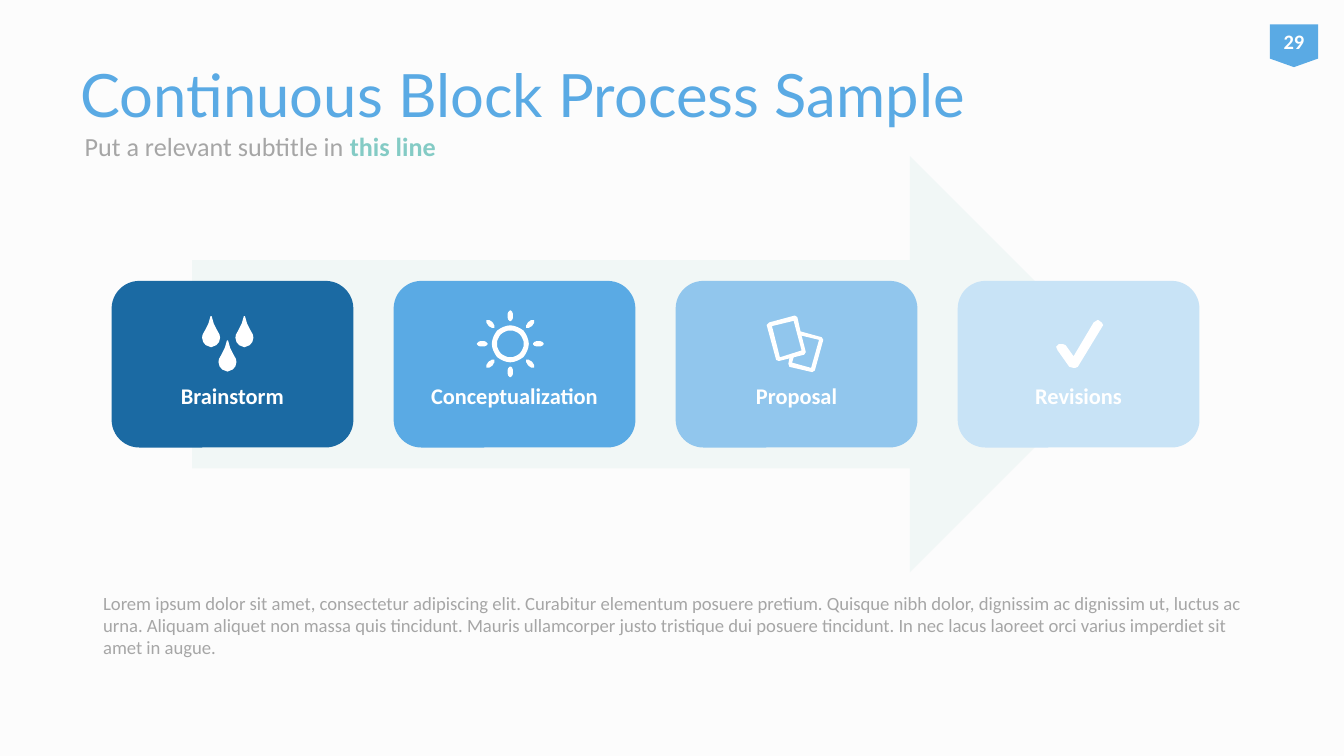
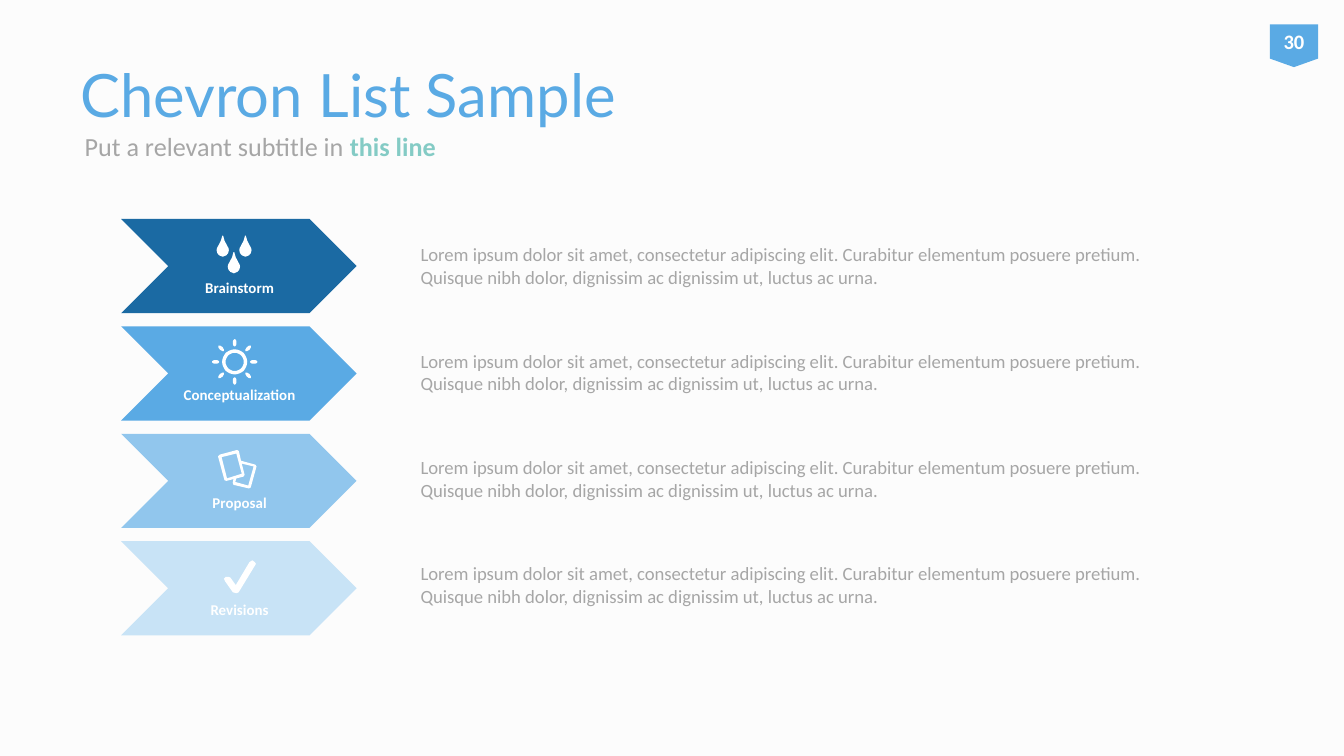
from dataclasses import dataclass
from math import cos, pi, sin

from lxml import etree
from pptx import Presentation
from pptx.dml.color import RGBColor
from pptx.enum.shapes import MSO_SHAPE
from pptx.enum.text import MSO_ANCHOR, PP_ALIGN
from pptx.oxml.ns import qn
from pptx.util import Cm, Pt

ARROW = MSO_SHAPE.RIGHT_ARROW
BADGE = MSO_SHAPE.FLOWCHART_OFFPAGE_CONNECTOR
CARD = MSO_SHAPE.ROUNDED_RECTANGLE
CHEVRON = MSO_SHAPE.CHEVRON
TOP = MSO_ANCHOR.TOP
MIDDLE = MSO_ANCHOR.MIDDLE
LEFT = PP_ALIGN.LEFT
CENTER = PP_ALIGN.CENTER


@dataclass(frozen=True)
class Theme:
    page: str = "FCFCFC"
    blue: str = "5AAAE4"
    gray: str = "A6A6A6"
    teal: str = "84CBC5"
    mist: str = "D9ECEA"
    white: str = "FFFFFF"
    steps: tuple = ("1B6AA3", "5AAAE4", "91C6ED", "C8E3F6")
    head: str = "Lato"
    body: str = "Calibri"
    title: int = 32
    sub: int = 14
    text: int = 10
    page_no: int = 11


theme = Theme()


def paint(shape, color):
    shape.shadow.inherit = False
    shape.fill.solid()
    shape.fill.fore_color.rgb = RGBColor.from_string(color)
    shape.line.fill.background()
    return shape


def write(shape, words, size, color, font=theme.body, bold=False,
          anchor=MIDDLE, align=LEFT, inset=(0.25, 0.13, 0.25, 0.13)):
    frame = shape.text_frame
    frame.word_wrap = True
    frame.vertical_anchor = anchor
    (frame.margin_left, frame.margin_top,
     frame.margin_right, frame.margin_bottom) = map(Cm, inset)
    para = frame.paragraphs[0]
    para.text = words
    para.alignment = align
    para.font.name = font
    para.font.size = Pt(size)
    para.font.bold = bold
    para.font.color.rgb = RGBColor.from_string(color)
    return para


half = [(1, 0), (5, 14), (11, 26), (16, 35), (17, 41), (15, 49), (10, 55), (0, 59)]
drop = half + [(-x, y) for x, y in half[-2::-1]]
drops = [[(left + x, top + y) for x, y in drop]
         for left, top in ((17, 0), (80, 0), (48, 46))]

turns = [2 * pi * k / 32 for k in range(32)]
sun = [[(r * cos(t), r * sin(t)) for t in turns] for r in (35, 25)]
for k in range(8):
    c, s = cos(k * pi / 4), sin(k * pi / 4)
    ray = [(53 + 10 * cos(t), 5 * sin(t)) for t in turns]
    sun.append([(x * c - y * s, x * s + y * c) for x, y in ray])

sheets = [
    [(104, 41), (64, 30), (58, 3), (53, 0), (5, 13), (0, 18), (18, 84),
     (23, 86), (43, 81), (41, 91), (43, 97), (86, 107), (91, 104), (107, 46)],
    [(10, 20), (51, 10), (66, 66), (25, 79)],
    [(84, 99), (48, 89), (51, 79), (71, 74), (74, 69), (66, 38), (99, 46)],
]
check = [[(33, 91), (25, 89), (3, 58), (0, 51), (5, 46), (13, 46), (18, 48),
          (33, 69), (71, 5), (79, 0), (86, 5), (89, 10), (86, 15), (41, 89),
          (36, 91)]]

steps = [
    ("Brainstorm", drops, -0.09),
    ("Conceptualization", sun, -0.08),
    ("Proposal", sheets, -0.03),
    ("Revisions", check, 0.02),
]
short = ("Lorem ipsum dolor sit amet, consectetur adipiscing elit. Curabitur "
         "elementum posuere pretium. Quisque nibh dolor, dignissim ac "
         "dignissim ut, luctus ac urna.")
long = short + (" Aliquam aliquet non massa quis tincidunt. Mauris ullamcorper "
                "justo tristique dui posuere tincidunt. In nec lacus laoreet "
                "orci varius imperdiet sit amet in augue.")

pages = [
    dict(no="29", title="Continuous Block Process Sample", kind=CARD,
         start=(2.11, 5.31), step=(5.33, 0), size=(4.57, 3.15),
         pad=(0.15, 0.15), inset=(0.13, 1.32, 0.13, 0.13), label=12,
         drop=1.19, zoom=1, arrow=(3.63, 2.95, 17.5, 7.87),
         notes=[(long, (1.7, 11.05, 22.2, 1.7))]),
    dict(no="30", title="Chevron List Sample", kind=CHEVRON,
         start=(2.29, 4.14), step=(0, 2.03), size=(4.45, 1.78),
         pad=(0.89, 0), inset=(0.03, 0.84, 0, 0.03), label=8,
         drop=0.67, zoom=0.68, arrow=None,
         notes=[(short, (7.7, 4.47 + 2.01 * k, 15.19, 1.17)) for k in range(4)]),
]

deck = Presentation()
deck.slide_width, deck.slide_height = Cm(25.4), Cm(14.29)

for page in pages:
    slide = deck.slides.add_slide(deck.slide_layouts[6])
    slide.background.fill.solid()
    slide.background.fill.fore_color.rgb = RGBColor.from_string(theme.page)
    shapes = slide.shapes

    box = shapes.add_textbox(Cm(1.27), Cm(0.58), Cm(22.43), Cm(2.39))
    write(box, page["title"], theme.title, theme.blue, theme.head)

    box = shapes.add_textbox(Cm(1.35), Cm(2.26), Cm(8.81), Cm(1.02))
    para = write(box, "Put a relevant subtitle in ", theme.sub, theme.gray)
    run = para.add_run()
    run.text = "this line"
    run.font.bold = True
    run.font.color.rgb = RGBColor.from_string(theme.teal)

    if page["arrow"]:
        arrow = paint(shapes.add_shape(ARROW, *map(Cm, page["arrow"])), theme.mist)
        tint = arrow.fill._xPr.find(qn("a:solidFill"))[0]
        etree.SubElement(tint, qn("a:alpha")).set("val", "30000")

    wide, high = page["size"]
    padx, pady = page["pad"]
    for k, (name, icon, shift) in enumerate(steps):
        left = page["start"][0] + k * page["step"][0]
        top = page["start"][1] + k * page["step"][1]
        block = shapes.add_shape(page["kind"], Cm(left), Cm(top), Cm(wide), Cm(high))
        paint(block, theme.steps[k])
        box = shapes.add_textbox(Cm(left + padx), Cm(top + pady),
                                 Cm(wide - 2 * padx), Cm(high - 2 * pady))
        write(box, name, page["label"], theme.white, bold=True,
              align=CENTER, inset=page["inset"])

        unit = Cm(0.01) * page["zoom"]
        xs, ys = zip(*(point for ring in icon for point in ring))
        midx, midy = (min(xs) + max(xs)) / 2, (min(ys) + max(ys)) / 2
        pen = shapes.build_freeform(*icon[0][0], scale=unit)
        for ring in icon:
            if ring is not icon[0]:
                pen.move_to(*ring[0])
            pen.add_line_segments(ring[1:], close=True)
        mark = pen.convert_to_shape(
            round(Cm(left + wide / 2 + shift) - midx * unit),
            round(Cm(top + page["drop"]) - midy * unit))
        paint(mark, theme.white)

    for words, place in page["notes"]:
        box = shapes.add_textbox(*map(Cm, place))
        write(box, words, theme.text, theme.gray, anchor=TOP)

    badge = shapes.add_shape(BADGE, Cm(24), Cm(0.46), Cm(0.91), Cm(0.81))
    paint(badge, theme.blue)
    write(badge, page["no"], theme.page_no, theme.white, bold=True,
          align=CENTER, inset=(0, 0, 0, 0))

deck.save("out.pptx")
